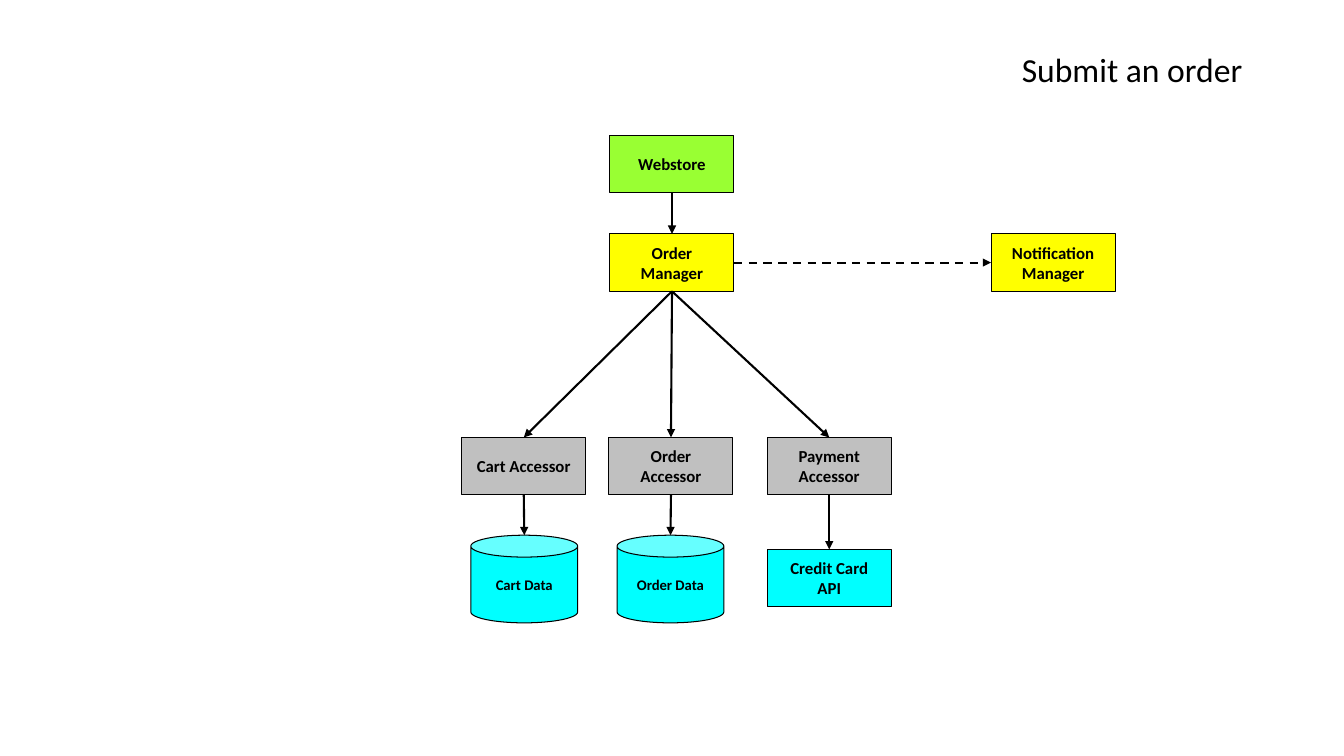
import pptx
import pptx.util
import pptx.dml.color
import pptx.enum.dml
import pptx.enum.shapes
import pptx.enum.text
import pptx.oxml
import pptx.oxml.ns
import lxml.etree

EMU_PER_PX = 9144
FONT = "Calibri"
COLORS = {
    "ink": "000000",
    "client": "99FF33",
    "manager": "FFFF00",
    "accessor": "C0C0C0",
    "resource": "00FFFF",
}
PAGE_SIZE = (1333, 750)
TITLE = ("Submit an order", 92, 40, 1150, 63)
KINDS = {
    "box": (pptx.enum.shapes.MSO_SHAPE.RECTANGLE, 123, 57, 12),
    "store": (pptx.enum.shapes.MSO_SHAPE.CAN, 106, 87, 10.5),
}
NODES = [
    ("Webstore", "box", "client", 605, 134),
    ("Order Manager", "box", "manager", 605, 232),
    ("Notification Manager", "box", "manager", 983, 232),
    ("Cart Accessor", "box", "accessor", 458, 434),
    ("Order Accessor", "box", "accessor", 604, 434),
    ("Payment Accessor", "box", "accessor", 761, 434),
    ("Cart Data", "store", "resource", 467, 531),
    ("Order Data", "store", "resource", 612, 531),
    ("Credit Card API", "box", "resource", 761, 545),
]
CALLS = [
    ("Webstore", "Order Manager"),
    ("Order Manager", "Cart Accessor"),
    ("Order Manager", "Order Accessor"),
    ("Order Manager", "Payment Accessor"),
    ("Cart Accessor", "Cart Data"),
    ("Order Accessor", "Order Data"),
    ("Payment Accessor", "Credit Card API"),
]
QUEUED_CALLS = [("Order Manager", "Notification Manager")]


def px(length):
    return pptx.util.Emu(length * EMU_PER_PX)


def color(name):
    return pptx.dml.color.RGBColor.from_string(COLORS[name])


def write(shape, text, size, align, bold=False):
    frame = shape.text_frame
    frame.word_wrap = True
    frame.vertical_anchor = pptx.enum.text.MSO_ANCHOR.MIDDLE
    frame.text = text
    para = frame.paragraphs[0]
    para.alignment = align
    font = para.runs[0].font
    font.name = FONT
    font.size = pptx.util.Pt(size)
    font.bold = bold
    font.color.rgb = color("ink")
    return para


def add_title(page):
    text, *frame = TITLE
    box = page.shapes.add_textbox(*map(px, frame))
    para = write(box, text, 24, pptx.enum.text.PP_ALIGN.RIGHT)
    para.line_spacing = 0.9


def add_node(page, text, kind, fill, left, top):
    preset, width, height, size = KINDS[kind]
    node = page.shapes.add_shape(preset, *map(px, (left, top, width, height)))
    node.shadow.inherit = False
    node.fill.solid()
    node.fill.fore_color.rgb = color(fill)
    node.line.color.rgb = color("ink")
    node.line.width = pptx.util.Pt(0.75)
    write(node, text, size, pptx.enum.text.PP_ALIGN.CENTER, bold=True)
    return node


def add_arrow(page, start, end, dashed=False):
    arrow = page.shapes.add_connector(
        pptx.enum.shapes.MSO_CONNECTOR.STRAIGHT, *start, *end)
    arrow.line.color.rgb = color("ink")
    arrow.line.width = pptx.util.Pt(1.5)
    if dashed:
        arrow.line.dash_style = pptx.enum.dml.MSO_LINE.DASH
    outline = arrow.line._get_or_add_ln()
    lxml.etree.SubElement(outline, pptx.oxml.ns.qn("a:tailEnd"), type="triangle")
    properties = arrow._element.spPr
    lxml.etree.SubElement(properties, pptx.oxml.ns.qn("a:effectLst"))


def center(node):
    return node.left + node.width // 2, node.top + node.height // 2


def main():
    deck = pptx.Presentation()
    deck.slide_width, deck.slide_height = map(px, PAGE_SIZE)
    page = deck.slides.add_slide(deck.slide_layouts[6])
    add_title(page)
    nodes = {node[0]: add_node(page, *node) for node in NODES}
    for caller, callee in CALLS:
        source, target = nodes[caller], nodes[callee]
        start = (center(source)[0], source.top + source.height)
        add_arrow(page, start, (center(target)[0], target.top))
    for caller, callee in QUEUED_CALLS:
        source, target = nodes[caller], nodes[callee]
        start = (source.left + source.width, center(source)[1])
        add_arrow(page, start, (target.left, center(target)[1]), dashed=True)
    deck.save("out.pptx")


if __name__ == "__main__":
    main()
